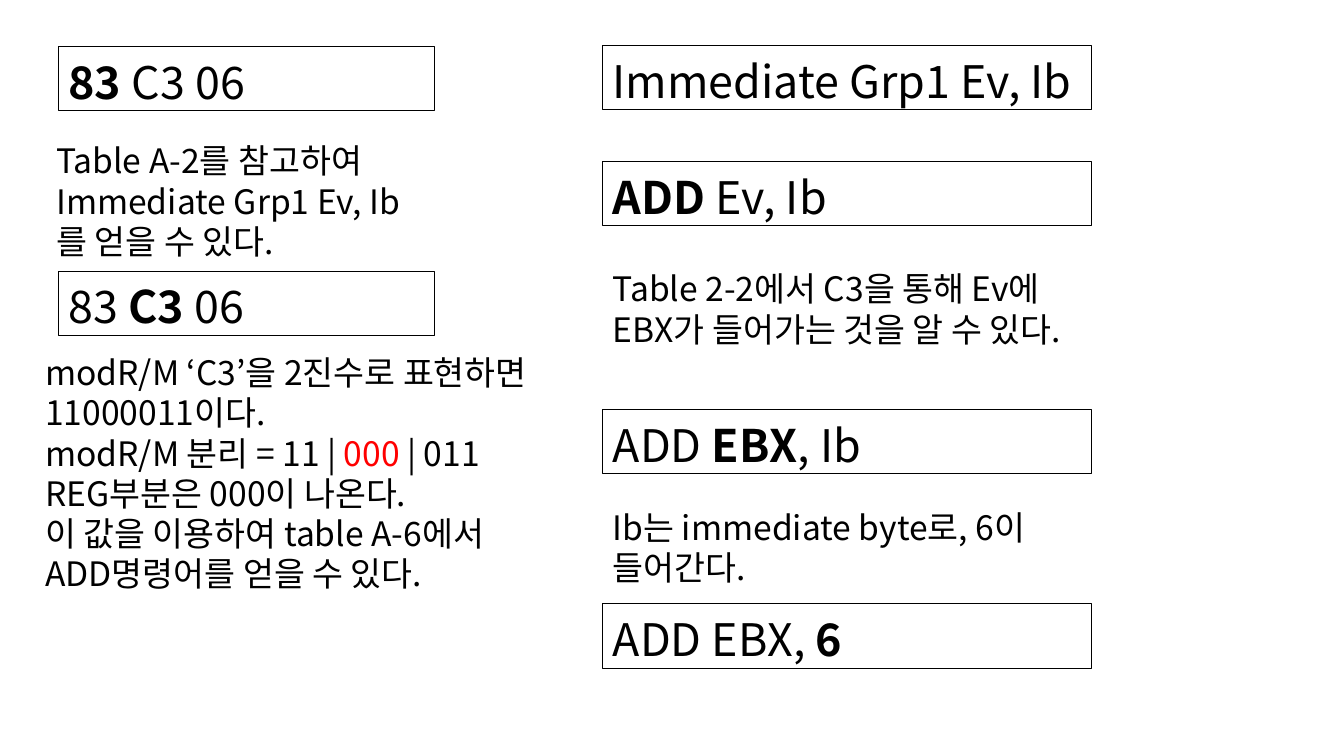
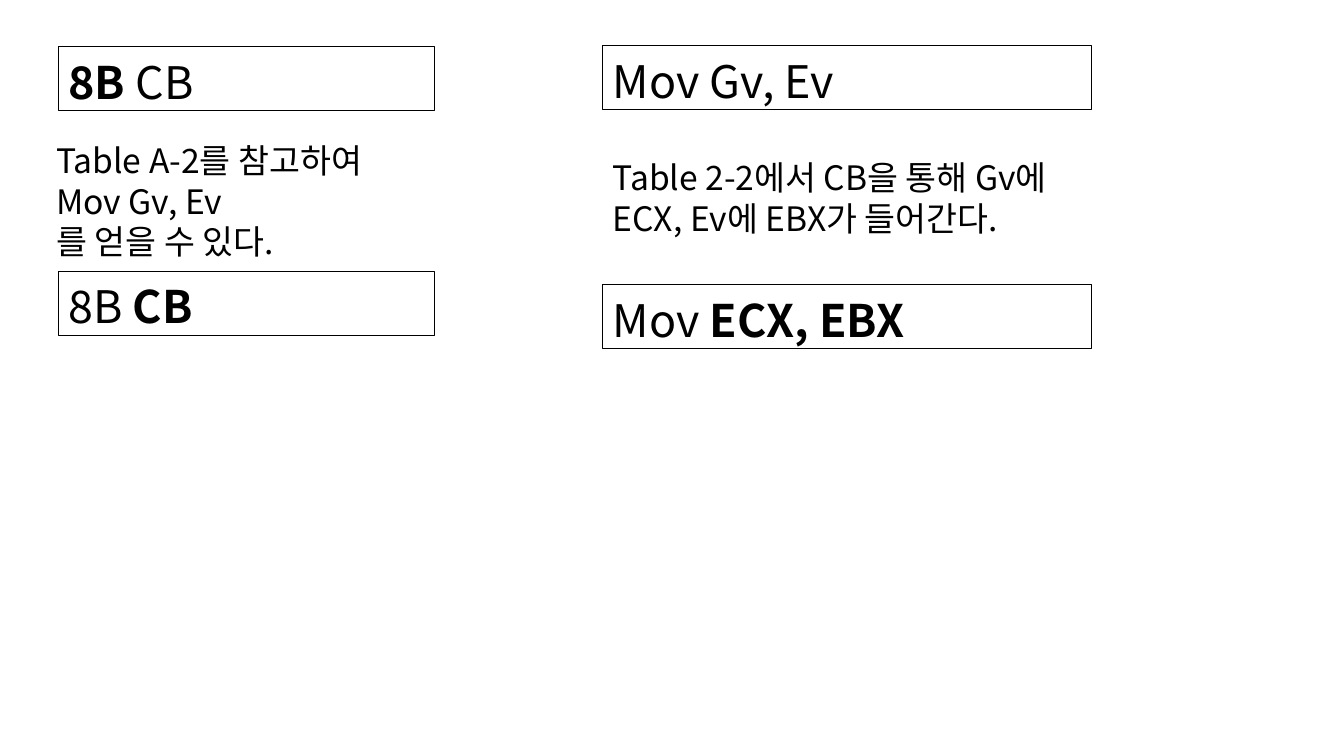
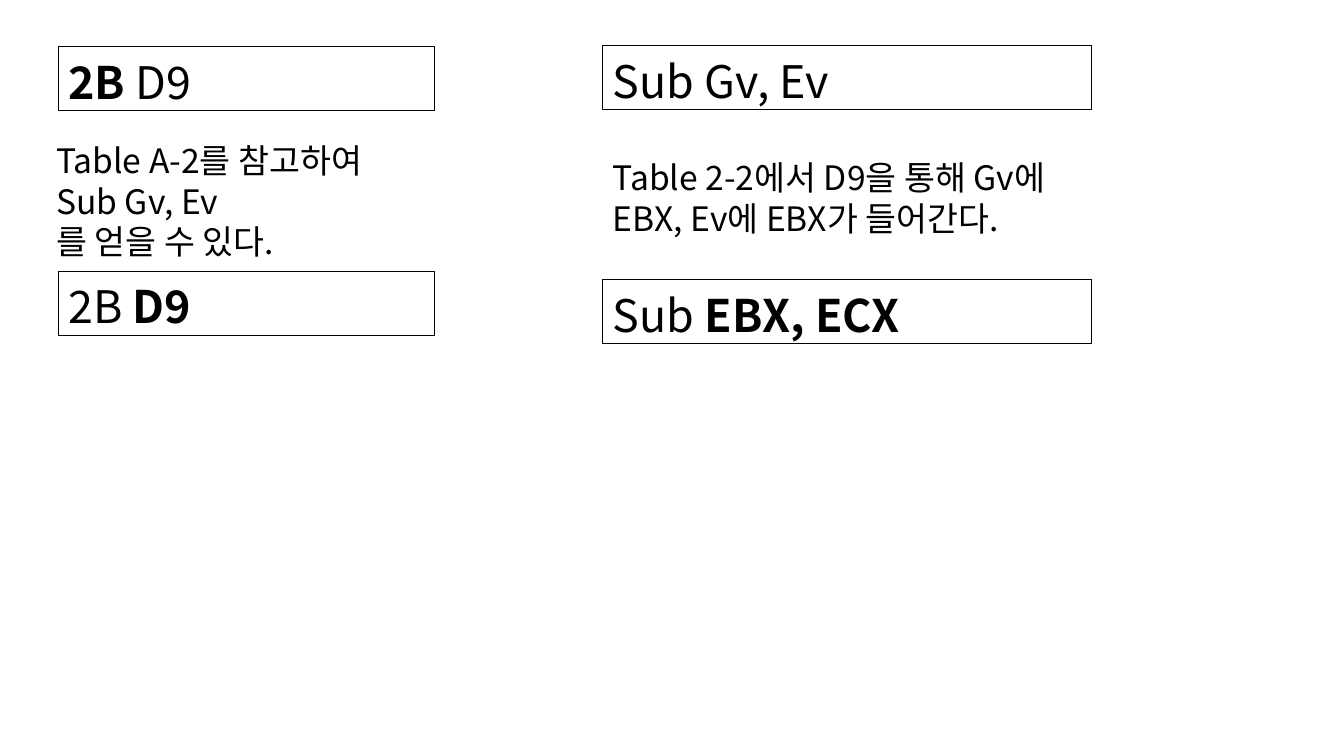
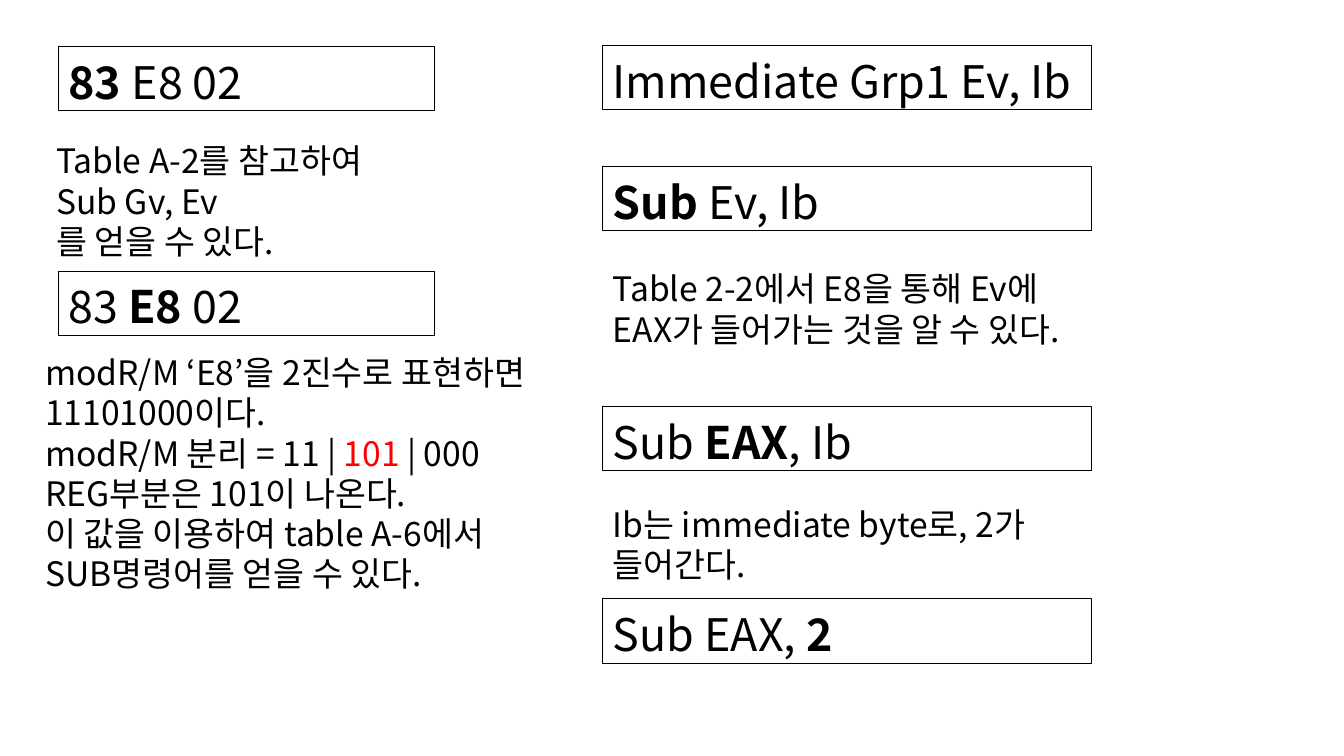
"""Builds four slides that decode x86 machine code step by step."""
from dataclasses import dataclass

from lxml.etree import SubElement
from pptx import Presentation
from pptx.dml.color import RGBColor
from pptx.enum.shapes import MSO_SHAPE
from pptx.enum.text import MSO_ANCHOR, MSO_AUTO_SIZE, PP_ALIGN
from pptx.oxml.ns import qn
from pptx.util import Inches, Pt


@dataclass(frozen=True)
class Theme:
    font: str = "Noto Sans CJK KR"
    ink: RGBColor = RGBColor(0, 0, 0)
    accent: RGBColor = RGBColor(255, 0, 0)
    code_size: int = 32
    note_size: int = 24
    leading: float = 1.2
    border: float = 0.75


THEME = Theme()
SLIDE_SIZE = (13.33, 7.5)
TITLE_ONLY = 5
BYTES_LEFT, BYTES_WIDTH = 0.58, 3.73
RESULT_LEFT, RESULT_WIDTH = 5.98, 4.85
CODE_HEIGHT = 0.64
BYTES_ROWS = (0.46, 2.69)
LOOKUP_AREA = (0.46, 1.31, 4.46, 1.31)
SPLIT_AREA = (0.35, 3.41, 5.17, 2.52)

IMMEDIATE_LESSONS = {
    0: dict(
        bytes=("*83 *C3 06", "83* C3* 06"), entry="Immediate Grp1 Ev, Ib",
        modrm="C3", bits=("11", "000", "011"), command="ADD",
        results=("Immediate Grp1 Ev, Ib", "*ADD *Ev, Ib", "ADD *EBX*, Ib", "ADD EBX, *6*"),
        register="EBX", value="6이",
        code_rows=(0.45, 1.6, 4.06, 5.99), note_rows=(2.58, 4.95),
    ),
    3: dict(
        bytes=("*83 *E8 02", "83* E8 *02"), entry="Sub Gv, Ev",
        modrm="E8", bits=("11", "101", "000"), command="SUB",
        results=("Immediate Grp1 Ev, Ib", "*Sub *Ev, Ib", "Sub *EAX*, Ib", "Sub EAX, *2*"),
        register="EAX", value="2가",
        code_rows=(0.45, 1.65, 4.03, 5.94), note_rows=(2.58, 4.92),
    ),
}
REGISTER_LESSONS = {
    1: dict(
        bytes=("*8B *CB", "8B* CB*"), entry="Mov Gv, Ev", modrm="CB",
        results=("Mov Gv, Ev", "Mov *ECX, EBX*"), register="ECX",
        code_rows=(0.45, 2.82), note_rows=(1.48,),
    ),
    2: dict(
        bytes=("*2B *D9", "2B* D9*"), entry="Sub Gv, Ev", modrm="D9",
        results=("Sub Gv, Ev", "Sub* EBX, ECX*"), register="EBX",
        code_rows=(0.45, 2.77), note_rows=(1.48,),
    ),
}


def split_note(lesson):
    mod, reg, rm = lesson["bits"]
    return [
        f"modR/M ‘{lesson['modrm']}’을 2진수로 표현하면 {mod}{reg}{rm}이다.",
        f"modR/M 분리 = {mod} | *{reg}* | {rm}",
        f"REG부분은 {reg}이 나온다.",
        f"이 값을 이용하여 table A-6에서 {lesson['command']}명령어를 얻을 수 있다.",
    ]


def immediate_notes(lesson):
    return [
        f"Table 2-2에서 {lesson['modrm']}을 통해 Ev에 {lesson['register']}가 들어가는 것을 알 수 있다.",
        f"Ib는 immediate byte로, {lesson['value']} 들어간다.",
    ]


def register_notes(lesson):
    return [f"Table 2-2에서 {lesson['modrm']}을 통해 Gv에 {lesson['register']}, Ev에 EBX가 들어간다."]


def write(shape, lines, size, is_code):
    """Write lines whose starred parts are bold in code and red in notes."""
    frame = shape.text_frame
    frame.word_wrap = True
    frame.auto_size = MSO_AUTO_SIZE.NONE
    frame.vertical_anchor = MSO_ANCHOR.TOP
    frame.margin_left = frame.margin_right = Inches(0.1)
    frame.margin_top, frame.margin_bottom = Inches(0.08), Inches(0.02)
    frame.text = "\n".join(line.replace("*", "") for line in lines)
    for paragraph, line in zip(frame.paragraphs, lines):
        paragraph.alignment = PP_ALIGN.LEFT
        paragraph.line_spacing = Pt(size * THEME.leading)
        paragraph.space_before = paragraph.space_after = Pt(0)
        paragraph.text = ""
        for order, part in enumerate(line.split("*")):
            if not part:
                continue
            marked = order % 2 == 1
            run = paragraph.add_run()
            run.text = part
            run.font.size = Pt(size)
            run.font.name = THEME.font
            run.font.bold = is_code and marked
            run.font.color.rgb = THEME.accent if marked and not is_code else THEME.ink
            SubElement(run.font._element, qn("a:ea"), typeface=THEME.font)


def add_code(slide, code, left, top, width, title=False):
    area = [Inches(length) for length in (left, top, width, CODE_HEIGHT)]
    if title:
        box = slide.shapes.title
        box.left, box.top, box.width, box.height = area
    else:
        box = slide.shapes.add_shape(MSO_SHAPE.RECTANGLE, *area)
        box.shadow.inherit = False
    box.fill.background()
    box.line.color.rgb = THEME.ink
    box.line.width = Pt(THEME.border)
    write(box, [code], THEME.code_size, True)


def add_note(slide, lines, area):
    note = slide.shapes.add_textbox(*(Inches(length) for length in area))
    write(note, lines, THEME.note_size, False)


def add_lesson(deck, lesson, notes):
    slide = deck.slides.add_slide(deck.slide_layouts[TITLE_ONLY])
    for order, (code, top) in enumerate(zip(lesson["bytes"], BYTES_ROWS)):
        add_code(slide, code, BYTES_LEFT, top, BYTES_WIDTH, title=order == 0)
    add_note(slide, ["Table A-2를 참고하여", lesson["entry"], "를 얻을 수 있다."], LOOKUP_AREA)
    if "bits" in lesson:
        add_note(slide, split_note(lesson), SPLIT_AREA)
    for code, top in zip(lesson["results"], lesson["code_rows"]):
        add_code(slide, code, RESULT_LEFT, top, RESULT_WIDTH)
    for note, top in zip(notes, lesson["note_rows"]):
        height = 1.31 if "알 수" in note else 0.91
        add_note(slide, [note], (RESULT_LEFT, top, RESULT_WIDTH, height))


def main():
    deck = Presentation()
    deck.slide_width, deck.slide_height = (Inches(length) for length in SLIDE_SIZE)
    for order in range(len(IMMEDIATE_LESSONS) + len(REGISTER_LESSONS)):
        if order in IMMEDIATE_LESSONS:
            lesson = IMMEDIATE_LESSONS[order]
            add_lesson(deck, lesson, immediate_notes(lesson))
        else:
            lesson = REGISTER_LESSONS[order]
            add_lesson(deck, lesson, register_notes(lesson))
    deck.save("out.pptx")


if __name__ == "__main__":
    main()
